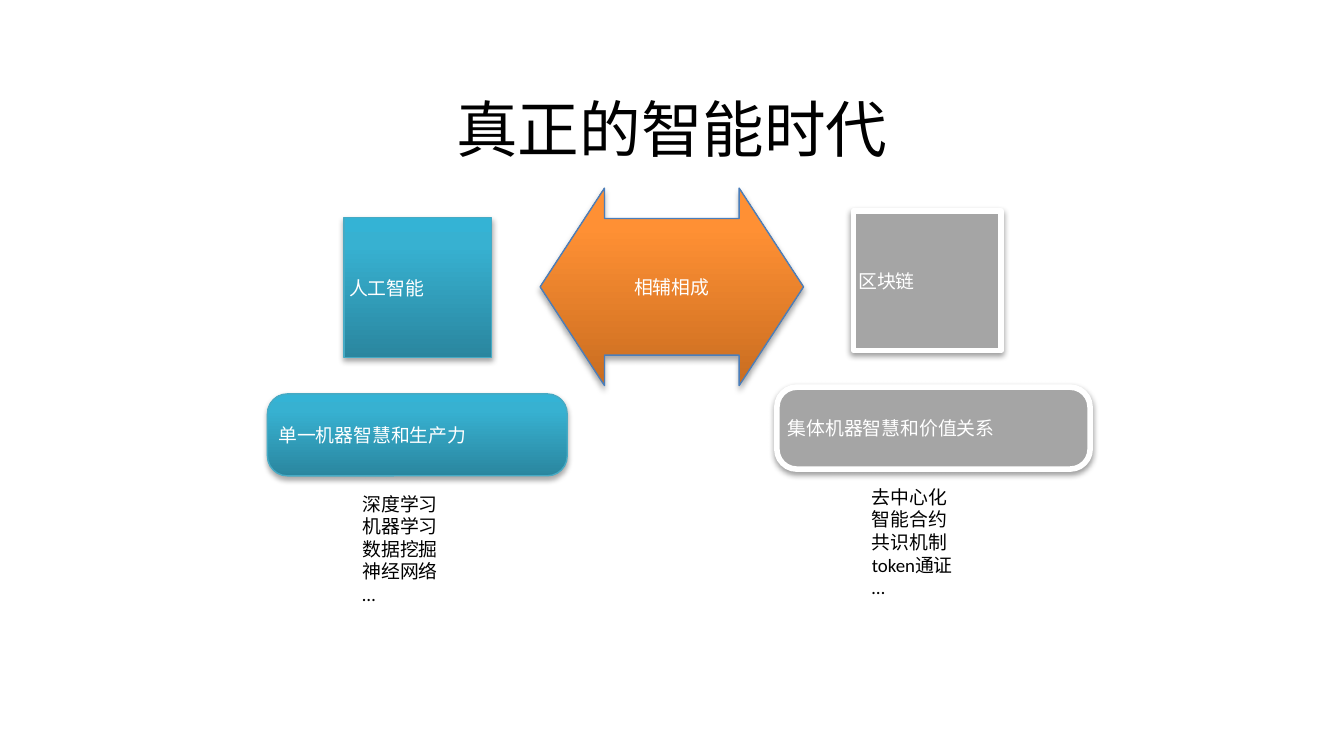
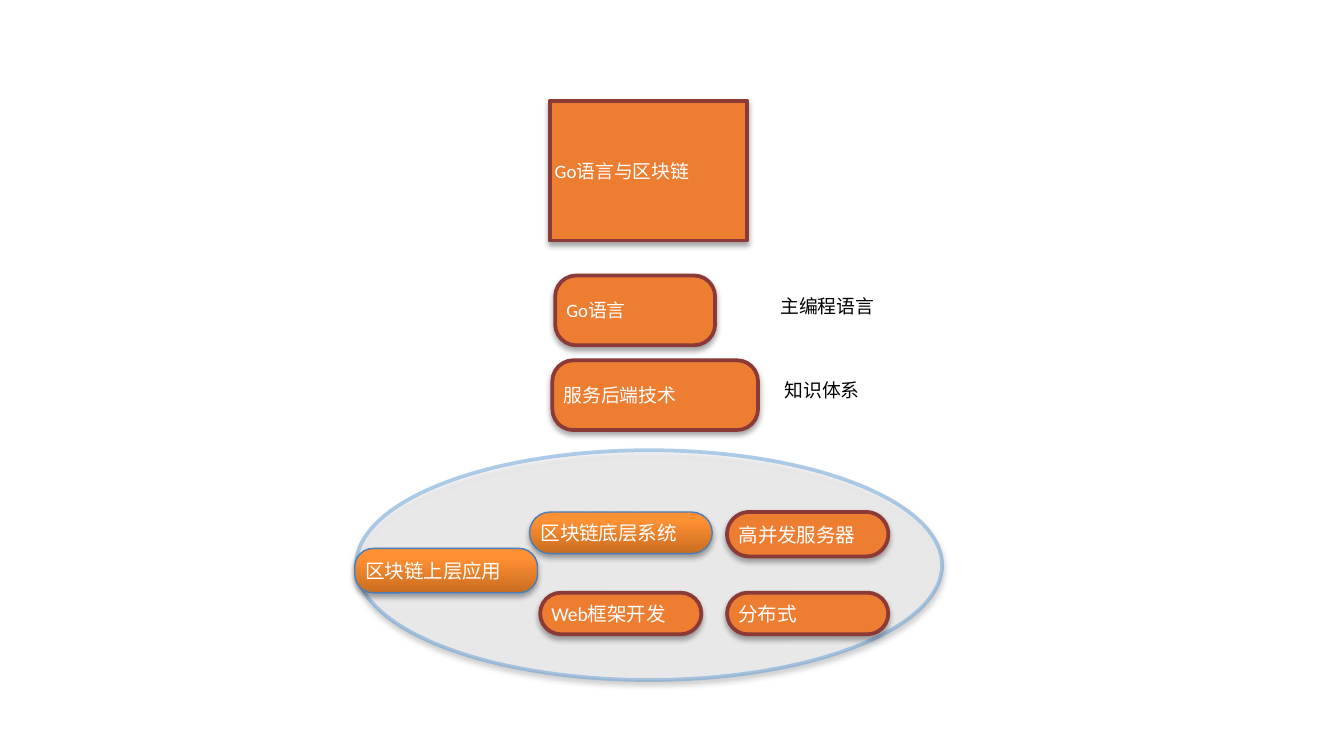
"""Build two slides on artificial intelligence, blockchain and the Go language."""
from copy import deepcopy
from dataclasses import dataclass

from lxml.etree import SubElement
from pptx import Presentation
from pptx.dml.color import RGBColor
from pptx.enum.shapes import MSO_SHAPE
from pptx.enum.text import MSO_ANCHOR, MSO_AUTO_SIZE, PP_ALIGN
from pptx.oxml.ns import qn
from pptx.util import Pt


@dataclass(frozen=True)
class Look:
    """Fill stops, outline and shadow of one kind of shape."""
    stops: tuple
    line: str
    line_width: float
    opacity: int = 100
    shadow_opacity: int = 35
    shadow_distance: float = 1.8


@dataclass(frozen=True)
class Theme:
    """Colours, looks and type sizes shared by the slides."""
    font: str = "Calibri"
    dark: str = "000000"
    light: str = "FFFFFF"
    title_size: float = 33
    body_size: float = 10.1
    pill_size: float = 10.5
    inset_x: float = 2.7
    inset_y: float = 3.6
    shadow_blur: float = 3
    teal: Look = Look(((0, "2A869F"), (0.8, "37B1D1"), (1, "34B3D5")), "46AAC4", 0.75)
    amber: Look = Look(((0, "C96D20"), (0.8, "FF9034"), (1, "FF9035")), "4A7EBB", 0.75)
    grey: Look = Look(((0, "A5A5A5"),), "FFFFFF", 3, shadow_opacity=38, shadow_distance=1.6)
    orange: Look = Look(((0, "ED7D31"),), "8C3A38", 2)
    veil: Look = Look(((0, "FFFFFF"),), "5B9BD5", 2, opacity=47)


THEME = Theme()


def add_alpha(color, percent):
    """Give a colour element an opacity."""
    SubElement(color, qn("a:alpha")).set("val", str(percent * 1000))


def paint_fill(shape, stops):
    """Fill a shape with one colour or with a gradient rising from the bottom."""
    if len(stops) == 1:
        shape.fill.solid()
        shape.fill.fore_color.rgb = RGBColor.from_string(stops[0][1])
        return
    shape.fill.gradient()
    shape.fill.gradient_angle = 90
    stop_list = shape._element.spPr.find(".//" + qn("a:gsLst"))
    stop_list.append(deepcopy(stop_list[-1]))
    for stop, (position, color) in zip(shape.fill.gradient_stops, stops):
        stop.position = position
        stop.color.rgb = RGBColor.from_string(color)


def cast_shadow(shape, look):
    """Put a soft shadow straight below a shape."""
    shape.shadow.inherit = False
    effects = shape._element.spPr.find(qn("a:effectLst"))
    shadow = SubElement(effects, qn("a:outerShdw"))
    shadow.set("blurRad", str(Pt(THEME.shadow_blur)))
    shadow.set("dist", str(Pt(look.shadow_distance)))
    shadow.set("dir", "5400000")
    shadow.set("rotWithShape", "0")
    color = SubElement(shadow, qn("a:srgbClr"))
    color.set("val", THEME.dark)
    add_alpha(color, look.shadow_opacity)


def write_text(box, text, size, color, align):
    """Write and format the text of a shape or text box."""
    frame = box.text_frame
    frame.margin_left = frame.margin_right = Pt(THEME.inset_x)
    frame.margin_top = frame.margin_bottom = Pt(THEME.inset_y)
    frame.text = text
    for paragraph in frame.paragraphs:
        paragraph.alignment = align
        for span in paragraph.runs:
            span.font.name = THEME.font
            span.font.size = Pt(size)
            span.font.color.rgb = RGBColor.from_string(color)


def add_figure(page, kind, place, look, text="", size=THEME.body_size,
               adjust=(), align=PP_ALIGN.LEFT):
    """Add a preset shape with its look and optional text."""
    shape = page.shapes.add_shape(kind, *map(Pt, place))
    for index, value in enumerate(adjust):
        shape.adjustments[index] = value
    paint_fill(shape, look.stops)
    shape.line.color.rgb = RGBColor.from_string(look.line)
    shape.line.width = Pt(look.line_width)
    if look.opacity < 100:
        for color in shape._element.spPr.iter(qn("a:srgbClr")):
            add_alpha(color, look.opacity)
    cast_shadow(shape, look)
    if text:
        shape.text_frame.vertical_anchor = MSO_ANCHOR.MIDDLE
        write_text(shape, text, size, THEME.light, align)


def add_label(page, place, text, size=THEME.body_size, align=PP_ALIGN.LEFT, wrap=False):
    """Add dark text without a frame."""
    box = page.shapes.add_textbox(*map(Pt, place))
    write_text(box, text, size, THEME.dark, align)
    box.text_frame.word_wrap = wrap
    box.text_frame.auto_size = MSO_AUTO_SIZE.SHAPE_TO_FIT_TEXT


def add_topic(page, left, top, card_width, look, name, summary, terms, list_width, wrap):
    """Add a topic square, its summary card and its list of terms."""
    add_figure(page, MSO_SHAPE.RECTANGLE, (left + 41, top, 79.2, 74.9), look, name)
    add_figure(page, MSO_SHAPE.ROUNDED_RECTANGLE, (left, top + 94.4, card_width, 43.9),
               look, summary, adjust=(0.243,))
    add_label(page, (left + 48.2, top + 143.6, list_width, 68.4), "\n".join(terms), wrap=wrap)


def build_era(page):
    """Show how artificial intelligence and blockchain complete each other."""
    add_label(page, (240.5, 45.4, 239, 47.5), "真正的智能时代", THEME.title_size, PP_ALIGN.CENTER)
    add_topic(page, 143.3, 116.6, 160.6, THEME.teal, "人工智能", "单一机器智慧和生产力",
              ("深度学习", "机器学习", "数据挖掘", "神经网络", "…"), 46.1, False)
    add_topic(page, 416.2, 113, 167.8, THEME.grey, "区块链", "集体机器智慧和价值关系",
              ("去中心化", "智能合约", "共识机制", "token通证", "…"), 49.7, True)
    add_figure(page, MSO_SHAPE.LEFT_RIGHT_ARROW, (289.4, 100.8, 141.1, 105.8), THEME.amber,
               "相辅相成", adjust=(0.692, 0.326), align=PP_ALIGN.CENTER)


def build_go(page):
    """Show what the Go language brings to blockchain."""
    add_figure(page, MSO_SHAPE.OVAL, (190.8, 241.2, 313.9, 123.1), THEME.veil)
    add_figure(page, MSO_SHAPE.RECTANGLE, (294.5, 54, 105.8, 74.9), THEME.orange, "Go语言与区块链")
    skills = (
        (297.4, 147.6, 85.7, "Go语言", 415.4, 56.9, "主编程语言"),
        (295.9, 193, 110.2, "服务后端技术", 417.6, 46.1, "知识体系"),
    )
    for left, top, width, skill, label_left, label_width, label in skills:
        add_figure(page, MSO_SHAPE.ROUNDED_RECTANGLE, (left, top, width, 37.4),
                   THEME.orange, skill, adjust=(0.301,))
        add_label(page, (label_left, top + 6.5, label_width, 19.4), label)
    pills = (
        ((190.1, 293.8, 97.9, 23.8), THEME.amber, 0.418, "区块链上层应用"),
        ((283.7, 274.3, 97.9, 22.3), THEME.amber, 0.5, "区块链底层系统"),
        ((289.4, 317.5, 86.4, 22.3), THEME.orange, 0.5, "Web框架开发"),
        ((389.5, 274.3, 86.4, 23.8), THEME.orange, 0.5, "高并发服务器"),
        ((389.5, 317.5, 86.4, 22.3), THEME.orange, 0.5, "分布式"),
    )
    for place, look, rounding, text in pills:
        add_figure(page, MSO_SHAPE.ROUNDED_RECTANGLE, place, look, text,
                   THEME.pill_size, (rounding,))


def main():
    """Build and save the deck."""
    deck = Presentation()
    deck.slide_width, deck.slide_height = Pt(720), Pt(405)
    for build in (build_era, build_go):
        build(deck.slides.add_slide(deck.slide_layouts[6]))
    deck.save("out.pptx")


if __name__ == "__main__":
    main()
